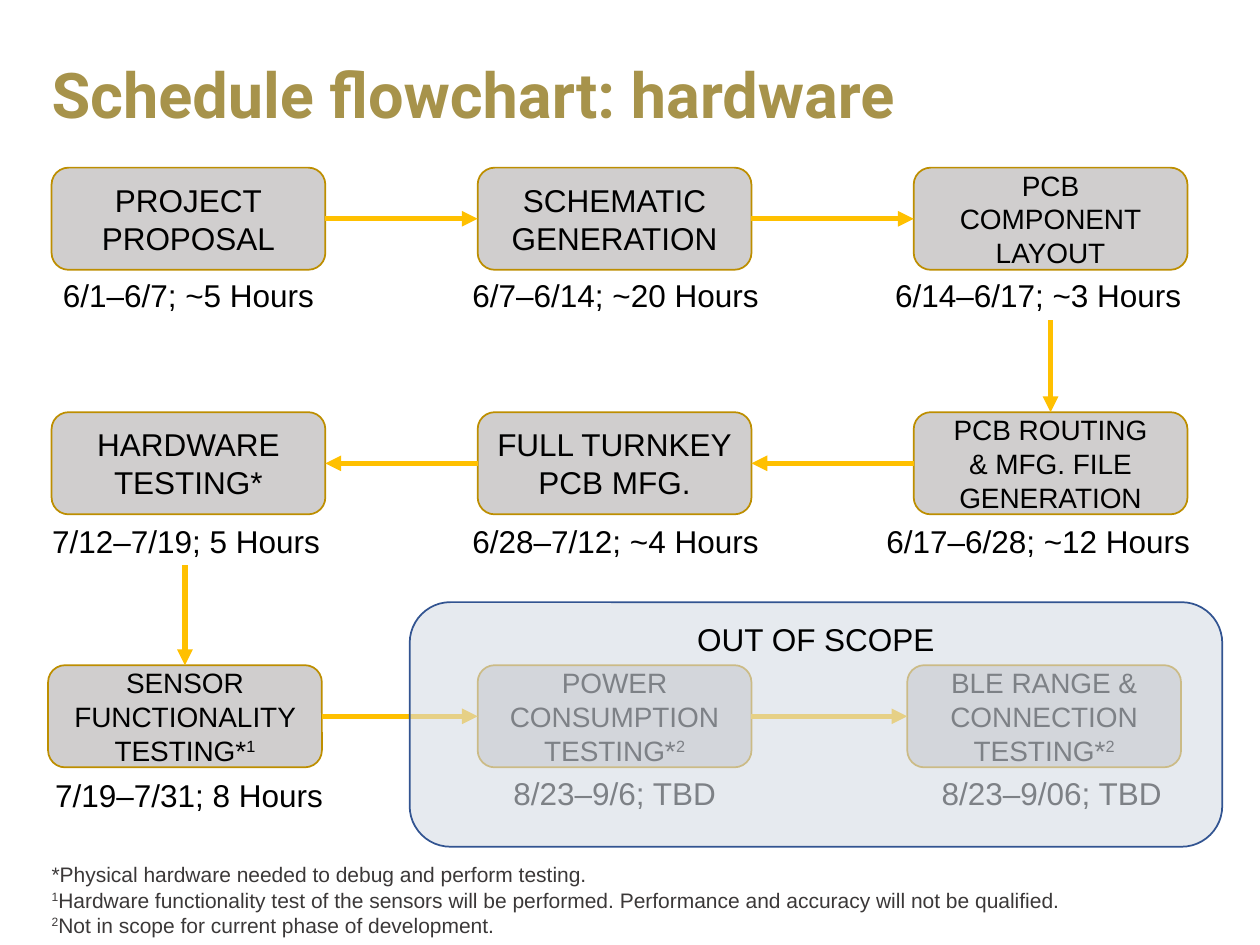
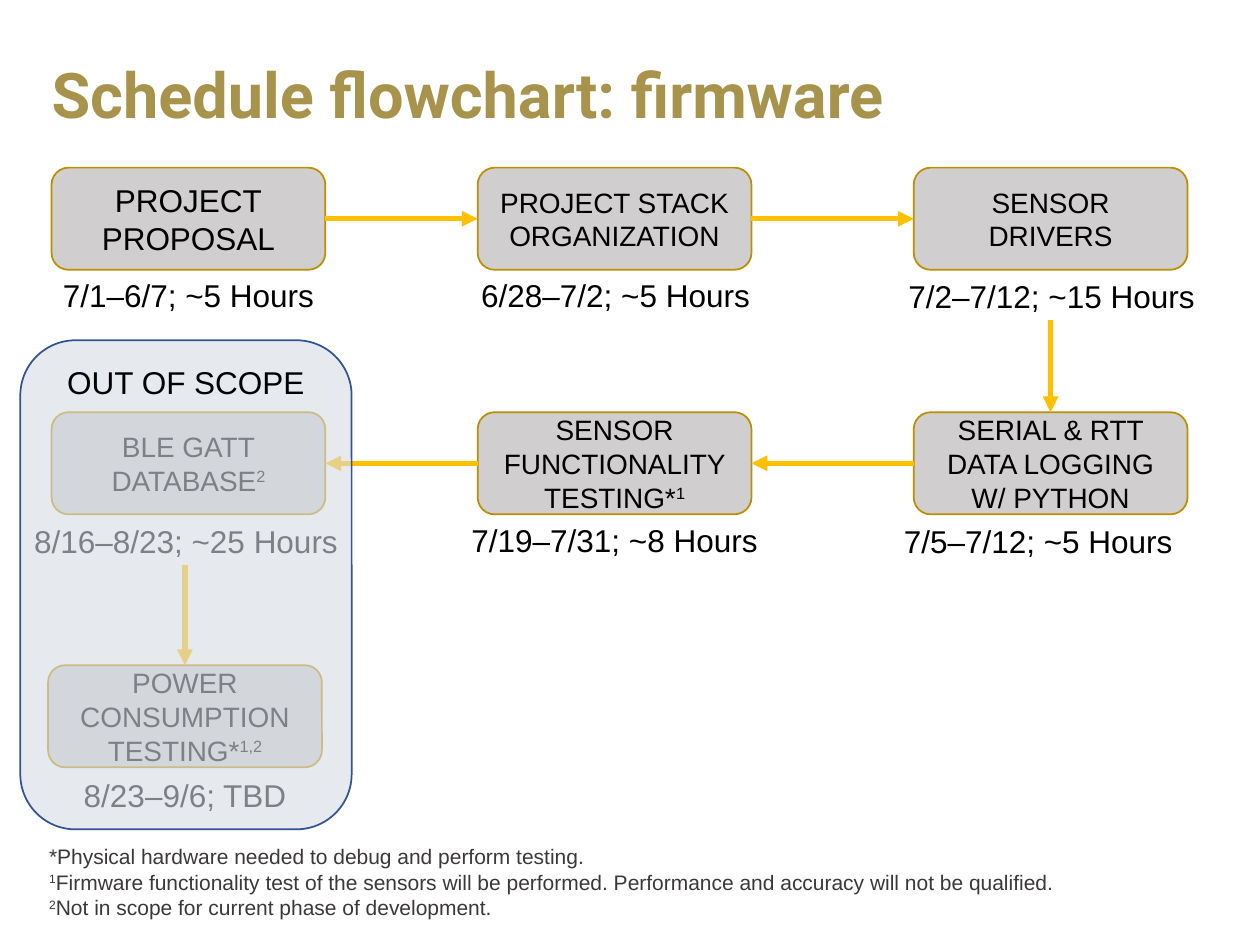
from lxml.etree import SubElement
from pptx import Presentation
from pptx.dml.color import RGBColor
from pptx.enum.shapes import MSO_CONNECTOR, MSO_SHAPE
from pptx.enum.text import MSO_ANCHOR, MSO_AUTO_SIZE, PP_ALIGN
from pptx.oxml.ns import qn
from pptx.util import Cm, Pt

GOLD = RGBColor(0xA7, 0x93, 0x4B)
EDGE = RGBColor(0xBD, 0x8E, 0x00)
AMBER = RGBColor(0xFF, 0xC0, 0x00)
GREY = RGBColor(0xD0, 0xCE, 0xCE)
MIST = RGBColor(0xD6, 0xDC, 0xE5)
NAVY = RGBColor(0x32, 0x54, 0x91)
INK = RGBColor(0x3B, 0x38, 0x38)
BLACK = RGBColor(0, 0, 0)

ROWS = (3.38, 8.31, 13.41)
COLS = ((1.04, 9.63, 18.42), (18.42, 9.63, 1.04), (0.97, 9.63, 18.29))
SPOTS = [(x, y) for y, row in zip(ROWS, COLS) for x in row]
WIDE, HIGH = 5.52, 2.06
DATE_W, DATE_H = 7.2, 1.02

HARD = [
    ("PROJECT\nPROPOSAL", 18, "6/1–6/7; ~5 Hours", 0, 0),
    ("SCHEMATIC\nGENERATION", 18, "6/7–6/14; ~20 Hours", 0.02, 0),
    ("PCB COMPONENT\nLAYOUT", 16, "6/14–6/17; ~3 Hours", -0.25, 0),
    ("PCB ROUTING\n& MFG. FILE GENERATION", 16, "6/17–6/28; ~12 Hours", -0.25, 0.02),
    ("FULL TURNKEY\nPCB MFG.", 18, "6/28–7/12; ~4 Hours", 0.02, 0.02),
    ("HARDWARE\nTESTING*", 18, "7/12–7/19; 5 Hours", -0.05, 0.02),
    ("SENSOR FUNCTIONALITY TESTING*^1", 16, "7/19–7/31; 8 Hours", 0.08, 0.05),
    ("POWER CONSUMPTION TESTING*^2", 16, "8/23–9/6; TBD", 0, 0),
    ("BLE RANGE & CONNECTION\nTESTING*^2", 16, "8/23–9/06; TBD", 0.15, 0),
]
FIRM = [
    ("PROJECT\nPROPOSAL", 18, "7/1–6/7; ~5 Hours", 0, 0),
    ("PROJECT STACK\nORGANIZATION", 16, "6/28–7/2; ~5 Hours", 0.02, 0),
    ("SENSOR\nDRIVERS", 16, "7/2–7/12; ~15 Hours", 0.02, 0.03),
    ("SERIAL & RTT DATA LOGGING W/ PYTHON", 16, "7/5–7/12; ~5 Hours", -0.25, 0.02),
    ("SENSOR FUNCTIONALITY TESTING*^1", 16, "7/19–7/31; ~8 Hours", 0, 0),
    ("BLE GATT\nDATABASE^2", 16, "8/16–8/23; ~25 Hours", -0.05, 0.02),
    ("POWER\nCONSUMPTION\nTESTING*^1,2", 16, "8/23–9/6; TBD", 0, 0.05),
]


class Deck:
    """Hold the deck style and the current slide."""

    def __init__(self):
        self.prs = Presentation()
        self.prs.slide_width, self.prs.slide_height = Cm(25.4), Cm(19.05)
        self.slide = None

    def page(self, title):
        """Start a slide with its title."""
        self.slide = self.prs.slides.add_slide(self.prs.slide_layouts[6])
        frame = self.label(title, 0.79, 0.56, 23.83, 2.82, 36, GOLD, PP_ALIGN.LEFT, "Roboto")
        frame.auto_size = MSO_AUTO_SIZE.NONE
        frame.vertical_anchor = MSO_ANCHOR.MIDDLE
        frame.paragraphs[0].line_spacing = 0.9
        frame.paragraphs[0].runs[0].font.bold = True

    def words(self, frame, text, size, color=BLACK, align=PP_ALIGN.CENTER, face="Arial"):
        """Fill a frame; every second piece between ^ signs is raised."""
        frame.word_wrap = True
        for i, line in enumerate(text.split("\n")):
            para = frame.add_paragraph() if i else frame.paragraphs[0]
            para.alignment = align
            for j, piece in enumerate(line.split("^")):
                if not piece:
                    continue
                run = para.add_run()
                run.text = piece
                font = run.font
                font.name, font.size, font.color.rgb = face, Pt(size), color
                if j % 2:
                    run._r.get_or_add_rPr().set("baseline", "30000")

    def label(self, text, x, y, w, h, size=18, *look):
        """Add a text box."""
        frame = self.slide.shapes.add_textbox(Cm(x), Cm(y), Cm(w), Cm(h)).text_frame
        self.words(frame, text, size, *look)
        frame.auto_size = MSO_AUTO_SIZE.SHAPE_TO_FIT_TEXT
        return frame

    def box(self, text, x, y, w=WIDE, h=HIGH, size=18, fill=GREY, edge=EDGE):
        """Add a rounded box with centred text."""
        box = self.slide.shapes.add_shape(
            MSO_SHAPE.ROUNDED_RECTANGLE, Cm(x), Cm(y), Cm(w), Cm(h))
        box.shadow.inherit = False
        box.fill.solid()
        box.fill.fore_color.rgb = fill
        box.line.color.rgb, box.line.width = edge, Pt(1)
        box.text_frame.vertical_anchor = MSO_ANCHOR.MIDDLE
        self.words(box.text_frame, text, size)
        return box

    def veil(self, x, y, w, h):
        """Cover the steps that are out of scope."""
        veil = self.box("OUT OF SCOPE", x, y, w, h, fill=MIST, edge=NAVY)
        veil.text_frame.vertical_anchor = MSO_ANCHOR.TOP
        tint = veil._element.spPr.find(qn("a:solidFill"))[0]
        SubElement(tint, qn("a:alpha")).set("val", "59000")

    def arrow(self, start, end):
        """Link two steps, from below the dates when the row changes."""
        mid = start.left + start.width // 2
        low = start.top + start.height + Cm(DATE_H)
        link = self.slide.shapes.add_connector(MSO_CONNECTOR.STRAIGHT, mid, low, mid, end.top)
        if start.top != end.top:
            link.end_connect(end, 0)
            link.begin_x = end.left + end.width // 2
        else:
            out, into = (3, 1) if start.left < end.left else (1, 3)
            link.begin_connect(start, out)
            link.end_connect(end, into)
        link.line.color.rgb, link.line.width = AMBER, Pt(3)
        line = link._element.spPr.find(qn("a:ln"))
        SubElement(line, qn("a:tailEnd")).set("type", "triangle")
        SubElement(link._element.spPr, qn("a:effectLst"))

    def flow(self, steps):
        """Lay the steps out row by row, turning at each end."""
        last = None
        for (x, y), (text, size, dates, shift, drop) in zip(SPOTS, steps):
            box = self.box(text, x, y, size=size)
            left = x + (WIDE - DATE_W) / 2 + shift
            self.label(dates, left, y + HIGH + drop, DATE_W, DATE_H)
            if last:
                self.arrow(last, box)
            last = box

    def notes(self, part, x, y):
        """Add the footnotes."""
        text = ("*Physical hardware needed to debug and perform testing.\n"
                f"^1^{part} functionality test of the sensors will be performed. "
                "Performance and accuracy will not be qualified.\n"
                "^2^Not in scope for current phase of development.")
        self.label(text, x, y, 21.46, 1.8, 12, INK, PP_ALIGN.LEFT)


def main():
    deck = Deck()
    deck.page("Schedule flowchart: hardware")
    deck.flow(HARD)
    deck.notes("Hardware", 0.79, 17.25)
    deck.veil(8.26, 12.14, 16.38, 4.93)

    deck.page("Schedule flowchart: firmware")
    deck.flow(FIRM)
    deck.notes("Firmware", 0.74, 16.89)
    deck.veil(0.41, 6.86, 6.68, 9.86)
    deck.prs.save("out.pptx")


if __name__ == "__main__":
    main()
